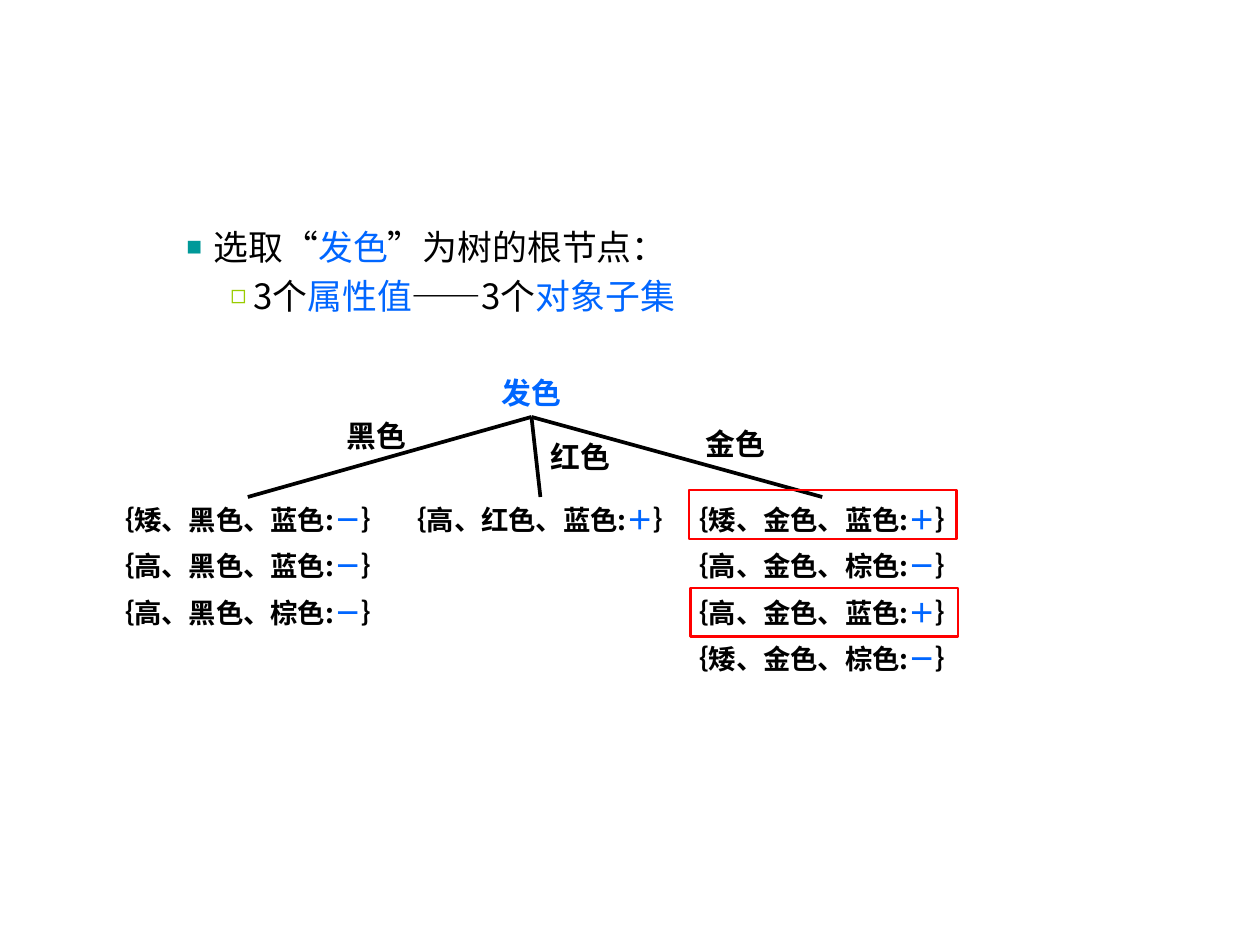
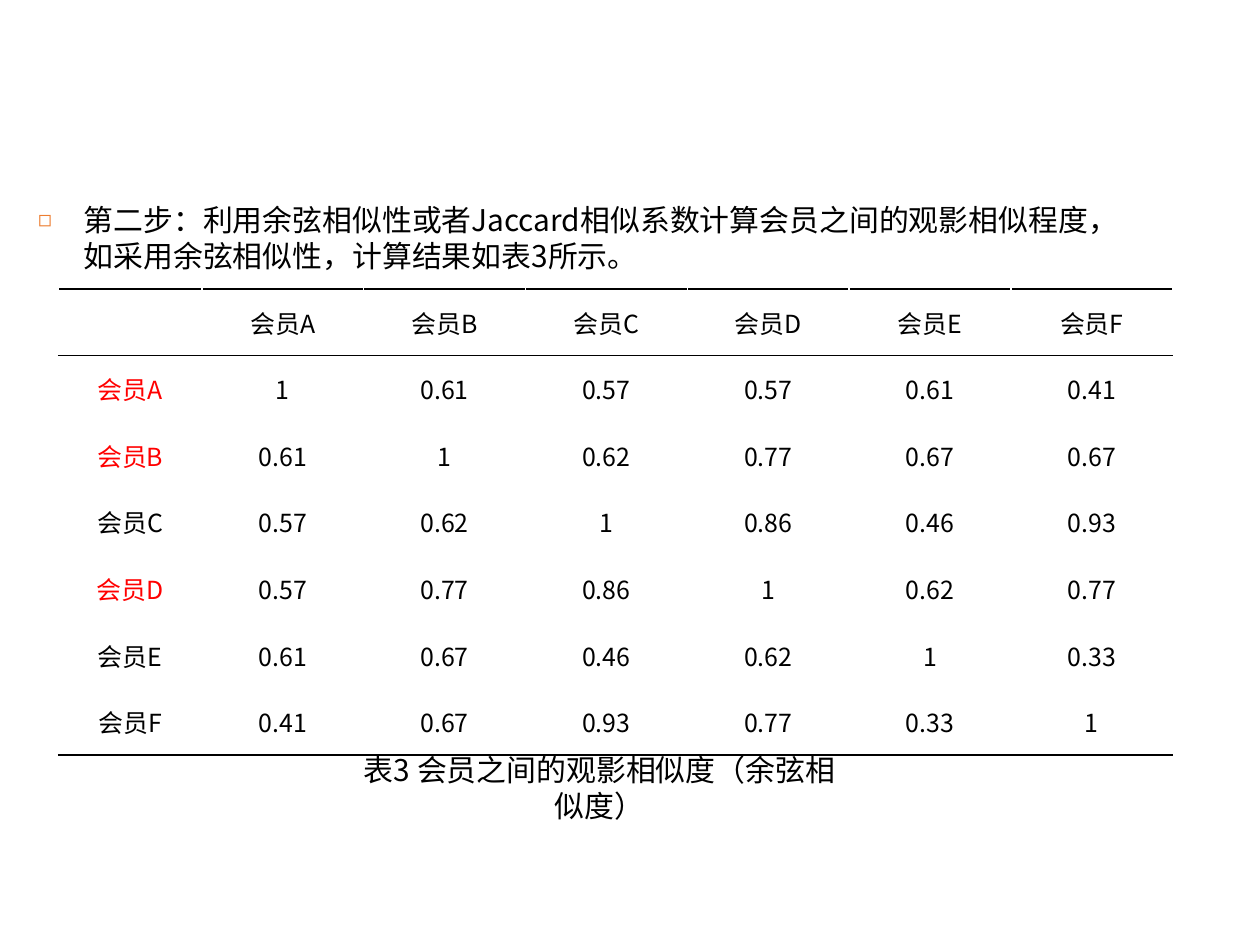
from lxml import etree
from pptx import Presentation
from pptx.dml.color import RGBColor
from pptx.enum.shapes import MSO_CONNECTOR, MSO_SHAPE
from pptx.enum.text import MSO_ANCHOR, MSO_AUTO_SIZE, PP_ALIGN
from pptx.oxml.ns import qn
from pptx.util import Inches, Pt

BLACK = RGBColor(0x00, 0x00, 0x00)
BLUE = RGBColor(0x00, 0x66, 0xFF)
RED = RGBColor(0xFF, 0x00, 0x00)
TEAL = RGBColor(0x00, 0x99, 0x99)
LIME = RGBColor(0x99, 0xCC, 0x00)
ORANGE = RGBColor(0xED, 0x7D, 0x31)
CENTER, LEFT = PP_ALIGN.CENTER, PP_ALIGN.LEFT
TOP, MIDDLE = MSO_ANCHOR.TOP, MSO_ANCHOR.MIDDLE
NO_AUTOSIZE = MSO_AUTO_SIZE.NONE
STRAIGHT, RECTANGLE = MSO_CONNECTOR.STRAIGHT, MSO_SHAPE.RECTANGLE
BOTTOM_SIDE, TOP_SIDE = 2, 0

CJK_FONT = "Noto Sans CJK SC"
WIDE_INSETS, SLIM_INSETS = (0.1, 0.05), (0.07, 0.04)

# Each bullet: spans, level, (left margin, indent), symbol, symbol colour
ROOT_BULLETS = [
    ([("选取“", BLACK), ("发色", BLUE), ("”为树的根节点：", BLACK)],
     0, (0.61, -0.23), "■", TEAL),
    ([("3个", BLACK), ("属性值", BLUE), ("——3个", BLACK), ("对象子集", BLUE)],
     1, (0.94, -0.19), "◻", LIME),
]
STEP_BULLETS = [
    ([("第二步：利用余弦相似性或者Jaccard相似系数计算会员之间的观影相似程度，"
       "如采用余弦相似性，计算结果如表3所示。", BLACK)],
     0, (0.38, -0.38), "◻", ORANGE),
]

ROOT = ("发色", 3.83, 3.09, BLUE)
BRANCH_LABELS = [("黑色", 2.53, 3.45, BLACK), ("红色", 4.24, 3.62, BLACK),
                 ("金色", 5.54, 3.51, BLACK)]
LABEL_SIZE = (1.24, 0.4)
LEAVES = [
    (0.73, [("矮、黑色、蓝色", "－"), ("高、黑色、蓝色", "－"), ("高、黑色、棕色", "－")]),
    (3.18, [("高、红色、蓝色", "＋")]),
    (5.54, [("矮、金色、蓝色", "＋"), ("高、金色、棕色", "－"),
            ("高、金色、蓝色", "＋"), ("矮、金色、棕色", "－")]),
]
LEAF_TOP, LEAF_WIDTH, LEAF_LINE = 4.16, 2.69, 0.4
HIGHLIGHTS = [(5.77, 4.1), (5.78, 4.92)]
HIGHLIGHT_SIZE = (2.24, 0.41)

MEMBERS = ["会员" + letter for letter in "ABCDEF"]
RED_MEMBERS = {"会员A", "会员B", "会员D"}
SIMILARITY = [
    (1, 0.61, 0.57, 0.57, 0.61, 0.41),
    (0.61, 1, 0.62, 0.77, 0.67, 0.67),
    (0.57, 0.62, 1, 0.86, 0.46, 0.93),
    (0.57, 0.77, 0.86, 1, 0.62, 0.77),
    (0.61, 0.67, 0.46, 0.62, 1, 0.33),
    (0.41, 0.67, 0.93, 0.77, 0.33, 1),
]
TABLE_AREA = (0.49, 2.42, 9.33, 3.9)
FIRST_COLUMN = 1.2
CAPTION = "表3 会员之间的观影相似度（余弦相似度）"


def inches(values):
    return [Inches(value) for value in values]


def add_element(parent, tag, **attributes):
    element = etree.SubElement(parent, qn(tag))
    for name, value in attributes.items():
        element.set(name, str(value))
    return element


def write(paragraph, spans, size, font=CJK_FONT, bold=False, align=CENTER):
    paragraph.alignment = align
    paragraph.font.size = Pt(size)
    paragraph.font.name = font
    paragraph.font.bold = bold
    defaults = paragraph._p.pPr.find(qn("a:defRPr"))
    add_element(defaults, "a:ea", typeface=CJK_FONT)
    for text, color in spans:
        span = paragraph.add_run()
        span.text = text
        span.font.color.rgb = color


def prepare(frame, insets, anchor=TOP):
    frame.word_wrap = True
    frame.auto_size = NO_AUTOSIZE
    frame.vertical_anchor = anchor
    frame.margin_left = frame.margin_right = Inches(insets[0])
    frame.margin_top = frame.margin_bottom = Inches(insets[1])


def paragraphs(frame, count):
    """Yield the first paragraph of the frame, then new ones up to count."""
    yield frame.paragraphs[0]
    for _ in range(count - 1):
        yield frame.add_paragraph()


def add_text(page, area, lines, size, font=CJK_FONT, bold=False,
             insets=WIDE_INSETS, anchor=TOP):
    box = page.shapes.add_textbox(*inches(area))
    frame = box.text_frame
    prepare(frame, insets, anchor)
    for index, paragraph in enumerate(paragraphs(frame, len(lines))):
        if index:
            paragraph.space_before = Pt(size * 0.5)
        write(paragraph, lines[index], size, font, bold)
    return box


def add_page(deck, area, bullets, size):
    """Add a page without a title whose body placeholder holds the bullets."""
    page = deck.slides.add_slide(deck.slide_layouts[1])
    title = page.shapes.title
    title._element.getparent().remove(title._element)
    body = page.placeholders[1]
    body.left, body.top, body.width, body.height = inches(area)
    frame = body.text_frame
    prepare(frame, SLIM_INSETS)
    for paragraph, bullet in zip(paragraphs(frame, len(bullets)), bullets):
        spans, level, (margin, indent), symbol, color = bullet
        paragraph.level = level
        paragraph.space_before = Pt(size * 0.2 if level else 0)
        properties = paragraph._p.get_or_add_pPr()
        properties.set("marL", str(Inches(margin)))
        properties.set("indent", str(Inches(indent)))
        add_element(add_element(properties, "a:buClr"), "a:srgbClr", val=color)
        add_element(properties, "a:buSzPct", val=75000)
        add_element(properties, "a:buFont", typeface="Arial")
        add_element(properties, "a:buChar", char=symbol)
        write(paragraph, spans, size, align=LEFT)
    return page


def add_label(page, label):
    text, left, top, color = label
    return add_text(page, (left, top, *LABEL_SIZE), [[(text, color)]],
                    18, "Arial", True)


def add_branch(page, root, leaf):
    branch = page.shapes.add_connector(STRAIGHT, 0, 0, 0, 0)
    branch.begin_connect(root, BOTTOM_SIDE)
    branch.end_connect(leaf, TOP_SIDE)
    branch.line.color.rgb = BLACK
    branch.line.width = Pt(2.25)
    add_element(branch._element.spPr, "a:effectLst")


def add_highlight(page, corner):
    frame = page.shapes.add_shape(RECTANGLE, *inches(corner + HIGHLIGHT_SIZE))
    frame.shadow.inherit = False
    frame.fill.background()
    frame.line.color.rgb = RED
    frame.line.width = Pt(1.5)


def add_border(cell, tag):
    border = add_element(cell._tc.get_or_add_tcPr(), tag, w=Pt(1))
    add_element(add_element(border, "a:solidFill"), "a:srgbClr", val=BLACK)


def add_similarity_table(page):
    rows = [["", *MEMBERS]]
    rows += [[member, *values] for member, values in zip(MEMBERS, SIMILARITY)]
    count = len(rows)
    table = page.shapes.add_table(count, count, *inches(TABLE_AREA)).table
    table.first_row = table.horz_banding = False
    other_column = (TABLE_AREA[2] - FIRST_COLUMN) / (count - 1)
    for index, column in enumerate(table.columns):
        column.width = Inches(other_column if index else FIRST_COLUMN)
    for row_index, row in enumerate(rows):
        for column_index, value in enumerate(row):
            cell = table.cell(row_index, column_index)
            cell.vertical_anchor = MIDDLE
            cell.margin_left = cell.margin_right = Inches(0.06)
            cell.margin_top = cell.margin_bottom = 0
            if row_index in (0, 1):
                add_border(cell, "a:lnT")
            if row_index in (0, count - 1):
                add_border(cell, "a:lnB")
            cell.fill.background()
            if value:
                is_red = column_index == 0 and value in RED_MEMBERS
                write(cell.text_frame.paragraphs[0],
                      [(str(value), RED if is_red else BLACK)], 15)


def build_tree_page(deck):
    page = add_page(deck, (1.11, 1.85, 6.75, 4.16), ROOT_BULLETS, 21)
    root = add_label(page, ROOT)
    for label in BRANCH_LABELS:
        add_label(page, label)
    for left, members in LEAVES:
        lines = [[("｛" + traits + ":", BLACK), (sign, BLUE), ("｝", BLACK)]
                 for traits, sign in members]
        area = (left, LEAF_TOP, LEAF_WIDTH, LEAF_LINE * len(lines))
        add_branch(page, root, add_text(page, area, lines, 16.5, bold=True))
    for corner in HIGHLIGHTS:
        add_highlight(page, corner)


def build_similarity_page(deck):
    page = add_page(deck, (0.25, 1.65, 9.21, 0.71), STEP_BULLETS, 18)
    add_text(page, (2.87, 6.25, 4.3, 0.68), [[(CAPTION, BLACK)]], 18,
             insets=SLIM_INSETS, anchor=MIDDLE)
    add_similarity_table(page)


def main():
    deck = Presentation()
    deck.slide_width, deck.slide_height = inches((10.55, 7.91))
    build_tree_page(deck)
    build_similarity_page(deck)
    deck.save("out.pptx")


if __name__ == "__main__":
    main()
